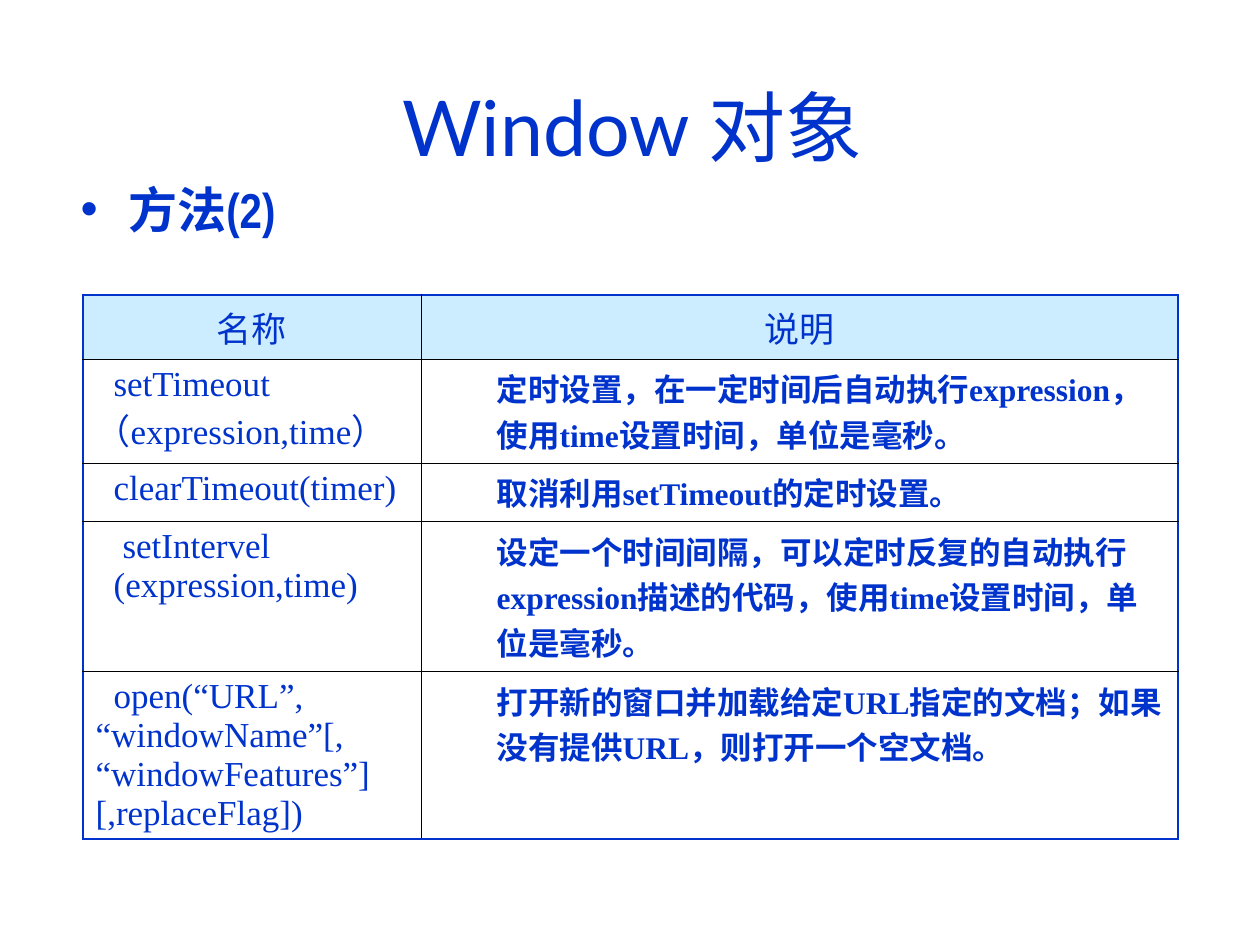
from dataclasses import dataclass

from lxml import etree
from pptx import Presentation
from pptx.dml.color import RGBColor
from pptx.enum.text import MSO_ANCHOR, MSO_AUTO_SIZE, PP_ALIGN
from pptx.oxml.ns import qn
from pptx.util import Emu, Pt

CENTER, LEFT = PP_ALIGN.CENTER, PP_ALIGN.LEFT
MIDDLE, TOP = MSO_ANCHOR.MIDDLE, MSO_ANCHOR.TOP
GROW = MSO_AUTO_SIZE.SHAPE_TO_FIT_TEXT
SCALE = 914400 / 126


@dataclass(frozen=True)
class Theme:
    blue: str = "0033CC"
    black: str = "000000"
    head: str = "CCECFF"
    title_font: str = "Lato"
    topic_font: str = "Arial Narrow"
    table_font: str = "Times New Roman"
    title_size: int = 44
    topic_size: int = 28
    name_size: int = 20
    note_size: int = 18
    thin: float = 0.45
    thick: float = 1.08


@dataclass(frozen=True)
class Line:
    text: str
    indent: int = 0


@dataclass(frozen=True)
class Method:
    lines: tuple[Line, ...]
    note: str
    height: int


THEME = Theme()
NOTE_INDENT = 63
HEAD_HEIGHT = 64
HEADS = ("名称", "说明")
WIDTHS = (338, 757)
METHODS = (
    Method((Line("setTimeout（expression,time）", 18),),
           "定时设置，在一定时间后自动执行expression，使用time设置时间，单位是毫秒。", 104),
    Method((Line("clearTimeout(timer)", 18),),
           "取消利用setTimeout的定时设置。", 58),
    Method((Line("setIntervel", 27), Line("(expression,time)", 18)),
           "设定一个时间间隔，可以定时反复的自动执行expression描述的代码，"
           "使用time设置时间，单位是毫秒。", 150),
    Method((Line("open(“URL”, “windowName”[, “windowFeatures”][,replaceFlag])", 18),),
           "打开新的窗口并加载给定URL指定的文档；如果没有提供URL，则打开一个空文档。", 168),
)


def px(value: int) -> Emu:
    return Emu(round(value * SCALE))


def place(shape, left: int, top: int, width: int, height: int) -> None:
    shape.left, shape.top = px(left), px(top)
    shape.width, shape.height = px(width), px(height)


def write(para, text: str, font: str, size: int, bold: bool = False,
          align=LEFT, margin: int = 0, indent: int = 0) -> None:
    """Add one run and set the paragraph's alignment and indents."""
    para.alignment = align
    props = para._p.get_or_add_pPr()
    props.set("marL", str(px(margin)))
    props.set("indent", str(px(indent)))
    run = para.add_run()
    run.text = text
    run.font.name, run.font.size, run.font.bold = font, Pt(size), bold
    run.font.color.rgb = RGBColor.from_string(THEME.blue)


def add_bullet(para) -> None:
    props = para._p.get_or_add_pPr()
    color = etree.SubElement(props, qn("a:buClr"))
    etree.SubElement(color, qn("a:srgbClr"), val=THEME.blue)
    etree.SubElement(props, qn("a:buFont"), typeface="Arial")
    etree.SubElement(props, qn("a:buChar"), char="•")


def add_edges(cell, outer: dict[str, bool]) -> None:
    """Draw outer edges thick and blue, inner edges thin and black."""
    props = cell._tc.get_or_add_tcPr()
    for side, is_outer in outer.items():
        width = THEME.thick if is_outer else THEME.thin
        color = THEME.blue if is_outer else THEME.black
        edge = etree.SubElement(props, qn(f"a:ln{side}"), w=str(int(Pt(width))))
        fill = etree.SubElement(edge, qn("a:solidFill"))
        etree.SubElement(fill, qn("a:srgbClr"), val=color)


def add_title(slide) -> None:
    title = slide.shapes.title
    place(title, 44, 47, 1177, 157)
    title.text_frame.vertical_anchor = MIDDLE
    write(title.text_frame.paragraphs[0], "Window 对象",
          THEME.title_font, THEME.title_size, align=CENTER)


def add_topic(slide) -> None:
    box = slide.shapes.add_textbox(0, 0, 0, 0)
    place(box, 64, 185, 228, 107)
    frame = box.text_frame
    frame.word_wrap, frame.auto_size = True, GROW
    para = frame.paragraphs[0]
    para.line_spacing = 0.8
    add_bullet(para)
    write(para, "方法(2)", THEME.topic_font, THEME.topic_size, True,
          CENTER, 48, -48)


def add_methods(slide) -> None:
    heights = (HEAD_HEIGHT, *(method.height for method in METHODS))
    rows, cols = len(heights), len(WIDTHS)
    table = slide.shapes.add_table(rows, cols, px(83), px(295),
                                   px(sum(WIDTHS)), px(sum(heights))).table
    table.first_row = table.horz_banding = False
    for col, width in zip(table.columns, WIDTHS):
        col.width = px(width)
    for row, height in zip(table.rows, heights):
        row.height = px(height)

    for r in range(rows):
        for c in range(cols):
            cell = table.cell(r, c)
            add_edges(cell, {"L": c == 0, "R": c == cols - 1,
                             "T": r == 0, "B": r == rows - 1})
            cell.vertical_anchor = TOP if r else MIDDLE
            if r:
                cell.fill.background()
            else:
                cell.fill.solid()
                cell.fill.fore_color.rgb = RGBColor.from_string(THEME.head)
                write(cell.text_frame.paragraphs[0], HEADS[c],
                      THEME.table_font, THEME.name_size, align=CENTER)

    for r, method in enumerate(METHODS, 1):
        name = table.cell(r, 0).text_frame
        for i, line in enumerate(method.lines):
            para = name.add_paragraph() if i else name.paragraphs[0]
            write(para, line.text, THEME.table_font, THEME.name_size,
                  indent=line.indent)
        write(table.cell(r, 1).text_frame.paragraphs[0], method.note,
              THEME.table_font, THEME.note_size, True, margin=NOTE_INDENT)


def main() -> None:
    deck = Presentation()
    deck.slide_width, deck.slide_height = px(1260), px(945)
    slide = deck.slides.add_slide(deck.slide_layouts[5])
    add_title(slide)
    add_methods(slide)
    add_topic(slide)
    deck.save("out.pptx")


if __name__ == "__main__":
    main()
